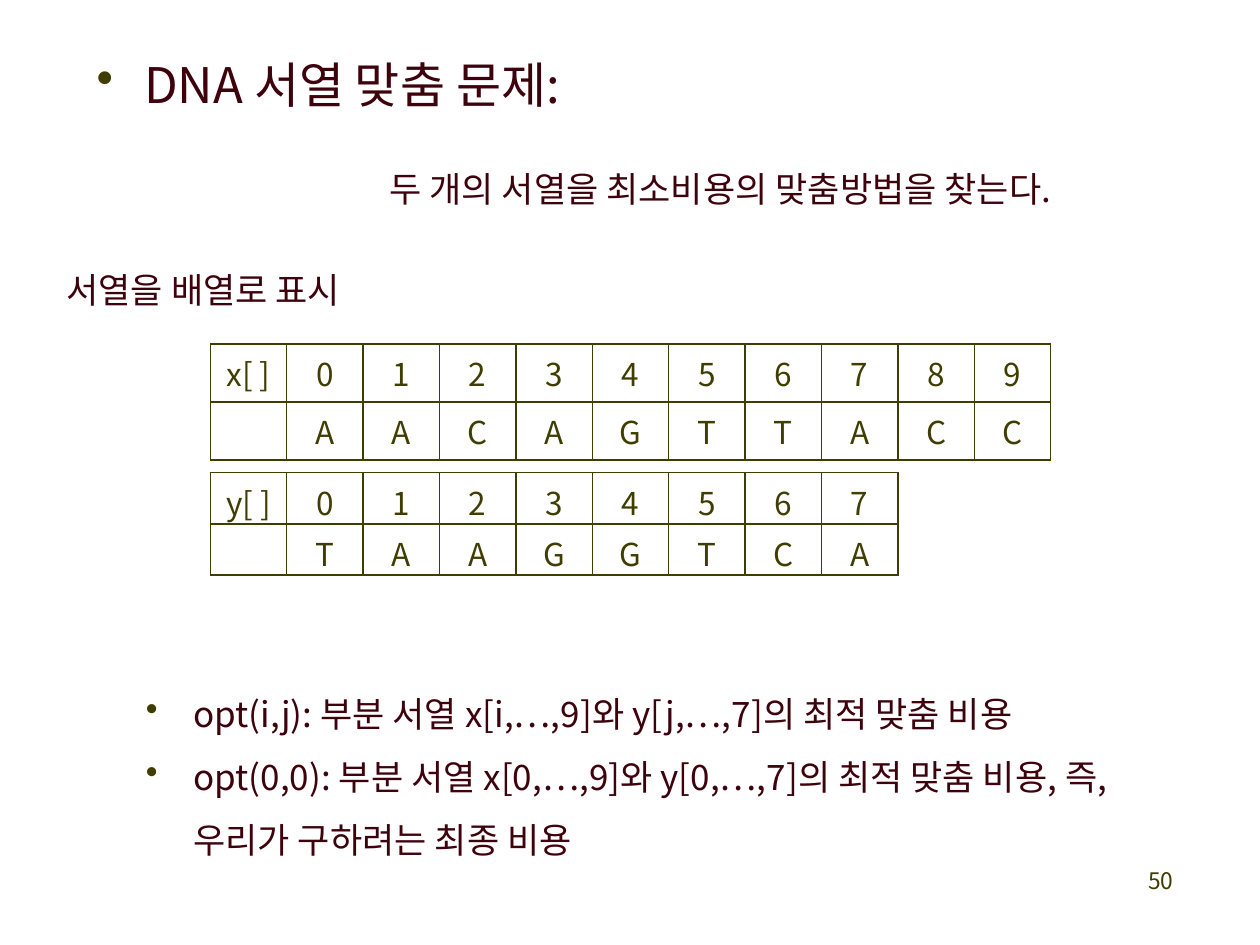
"""Build the DNA sequence alignment slide with its two array tables."""
from dataclasses import dataclass

from lxml import etree
from pptx import Presentation, util as u
from pptx.dml import color
from pptx.enum import text
from pptx.oxml import ns


@dataclass(frozen=True)
class Theme:
    font: str = "Noto Sans CJK KR"
    ink: str = "3E020C"
    accent: str = "3F3E00"
    title_size: int = 28
    body_size: int = 20
    cell_size: int = 18
    number_size: int = 13
    border: float = 1
    cell_width: float = 1.54
    indent: float = 0.96


class SlideBuilder:
    def __init__(self, slide, theme):
        self.slide = slide
        self.theme = theme

    def format_runs(self, paragraph, size, tint):
        for run in paragraph.runs:
            run.font.size = u.Pt(size)
            run.font.name = self.theme.font
            run.font.color.rgb = color.RGBColor.from_string(tint)
            properties = run._r.get_or_add_rPr()
            etree.SubElement(properties, ns.qn("a:ea"), typeface=self.theme.font)

    def indent(self, paragraph, margin, bullet=False):
        properties = paragraph._p.get_or_add_pPr()
        properties.set("marL", str(u.Cm(margin)))
        properties.set("indent", str(-u.Cm(margin) if bullet else 0))
        if bullet:
            bullet_color = etree.SubElement(properties, ns.qn("a:buClr"))
            etree.SubElement(bullet_color, ns.qn("a:srgbClr"), val=self.theme.accent)
            etree.SubElement(properties, ns.qn("a:buChar"), char="•")

    def add_text(self, box, lines, size, tint, spacing=None, bullet=False, align=None):
        shape = self.slide.shapes.add_textbox(*map(u.Cm, box))
        frame = shape.text_frame
        frame.word_wrap = True
        frame.text = "\n".join(lines)
        for paragraph in frame.paragraphs:
            paragraph.alignment = align
            if spacing:
                paragraph.line_spacing = u.Pt(spacing)
            if bullet:
                self.indent(paragraph, self.theme.indent, bullet=True)
            self.format_runs(paragraph, size, tint)
        return frame

    def add_subline(self, frame, line, margin, space_before, spacing):
        paragraph = frame.add_paragraph()
        paragraph.text = line
        paragraph.line_spacing = u.Pt(spacing)
        paragraph.space_before = u.Pt(space_before)
        self.indent(paragraph, margin)
        self.format_runs(paragraph, self.theme.body_size, self.theme.ink)

    def style_cell(self, cell, bottom):
        properties = cell._tc.get_or_add_tcPr()
        for side in ("lnL", "lnR", "lnT", "lnB"):
            line = etree.SubElement(
                properties, ns.qn(f"a:{side}"), w=str(u.Pt(self.theme.border))
            )
            fill = etree.SubElement(line, ns.qn("a:solidFill"))
            etree.SubElement(fill, ns.qn("a:srgbClr"), val=self.theme.accent)
        cell.fill.background()
        cell.margin_bottom = u.Cm(bottom)
        paragraph = cell.text_frame.paragraphs[0]
        paragraph.alignment = text.PP_ALIGN.CENTER
        self.format_runs(paragraph, self.theme.cell_size, self.theme.accent)

    def add_array(self, name, sequence, left, top, row_height, bottom):
        rows = [[name, *map(str, range(len(sequence)))], ["", *sequence]]
        columns = len(rows[0])
        width = self.theme.cell_width
        table = self.slide.shapes.add_table(
            len(rows), columns, u.Cm(left), u.Cm(top),
            u.Cm(width * columns), u.Cm(row_height * len(rows)),
        ).table
        table.first_row = table.horz_banding = False
        for column in table.columns:
            column.width = u.Cm(width)
        for row, values in zip(table.rows, rows):
            row.height = u.Cm(row_height)
            for cell, value in zip(row.cells, values):
                cell.text = value
                self.style_cell(cell, bottom)


def main():
    presentation = Presentation()
    presentation.slide_width, presentation.slide_height = u.Cm(25.4), u.Cm(19.05)
    theme = Theme()
    builder = SlideBuilder(
        presentation.slides.add_slide(presentation.slide_layouts[6]), theme
    )
    builder.add_text(
        (18.62, 17.35, 5.28, 1.27), ["50"], theme.number_size, theme.accent,
        align=text.PP_ALIGN.RIGHT,
    )
    builder.add_array("x[ ]", "AACAGTTACC", 4.24, 6.93, 1.17, 0.13)
    heading = builder.add_text(
        (1.7, 1.18, 22.94, 3.15), ["DNA 서열 맞춤 문제:"],
        theme.title_size, theme.ink, spacing=28, bullet=True,
    )
    builder.add_subline(
        heading, "두 개의 서열을 최소비용의 맞춤방법을 찾는다.", 5.9, 27, 28
    )
    builder.add_text(
        (1.09, 5.15, 6.71, 1.17), ["서열을 배열로 표시"],
        theme.body_size, theme.ink, spacing=28,
    )
    builder.add_array("y[ ]", "TAAGGTCA", 4.24, 9.53, 1.03, 0)
    builder.add_text(
        (2.69, 13.41, 21.21, 4.11),
        [
            "opt(i,j): 부분 서열 x[i,…,9]와 y[j,…,7]의 최적 맞춤 비용",
            "opt(0,0): 부분 서열 x[0,…,9]와 y[0,…,7]의 최적 맞춤 비용, "
            "즉, 우리가 구하려는 최종 비용",
        ],
        theme.body_size, theme.ink, spacing=36, bullet=True,
    )
    presentation.save("out.pptx")


if __name__ == "__main__":
    main()
